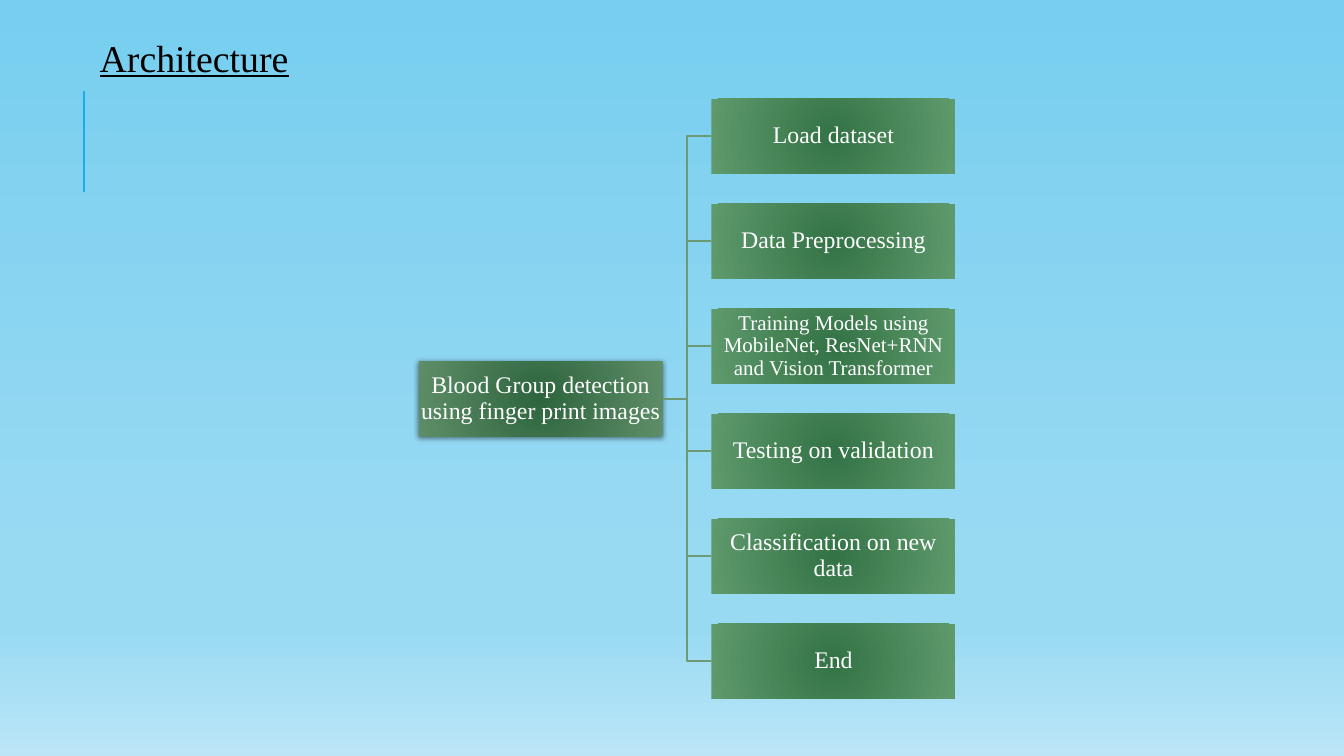
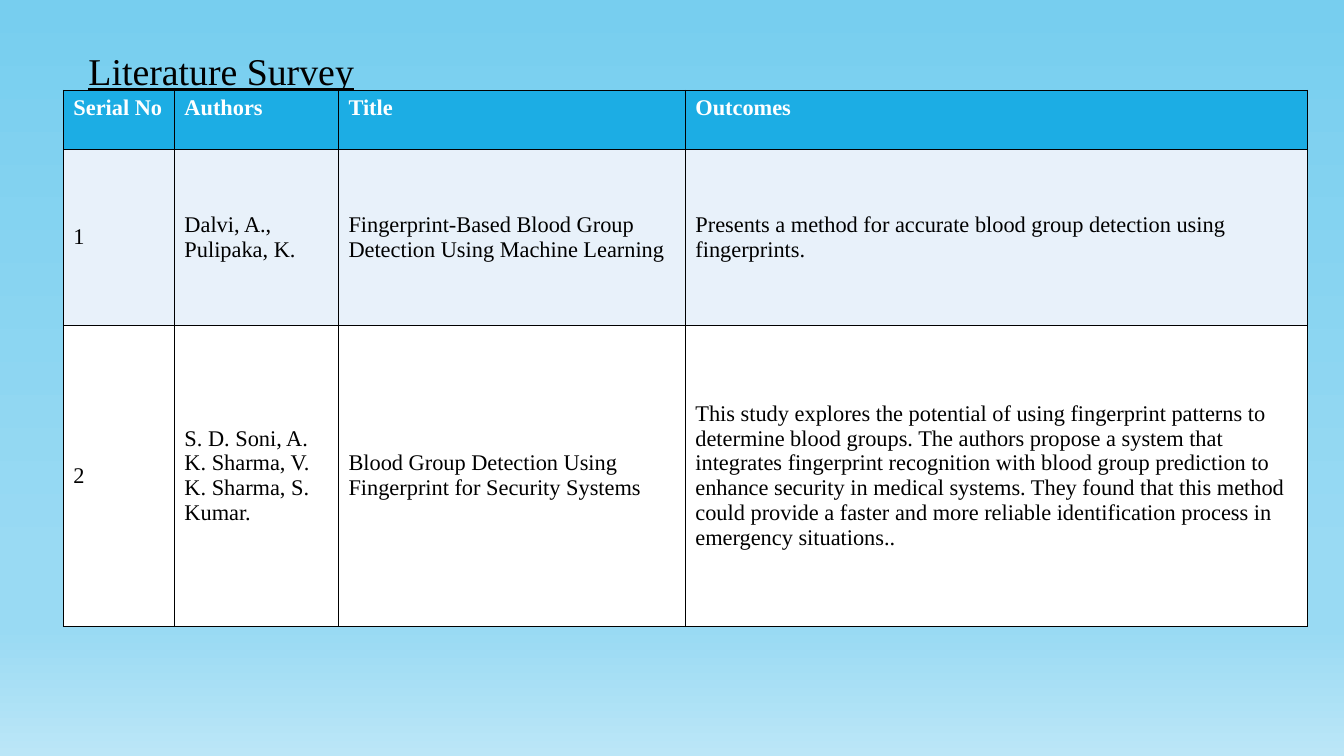
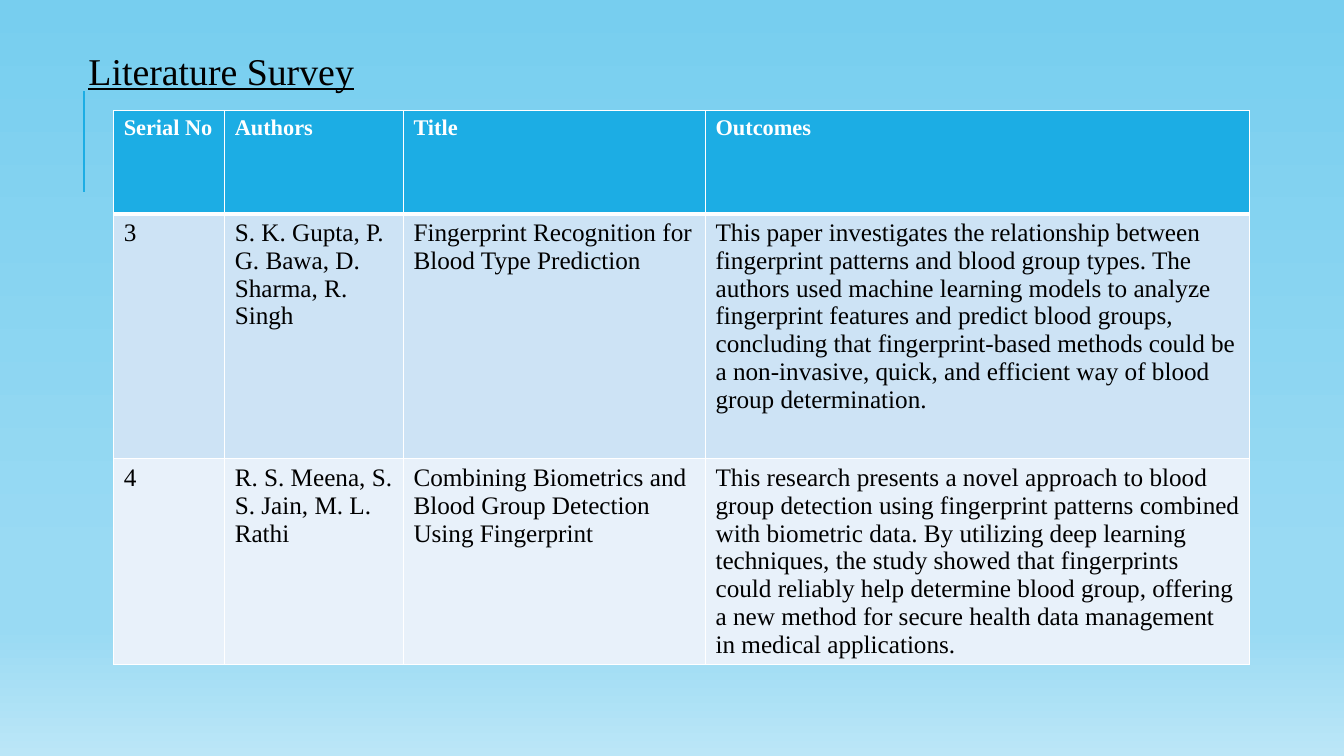
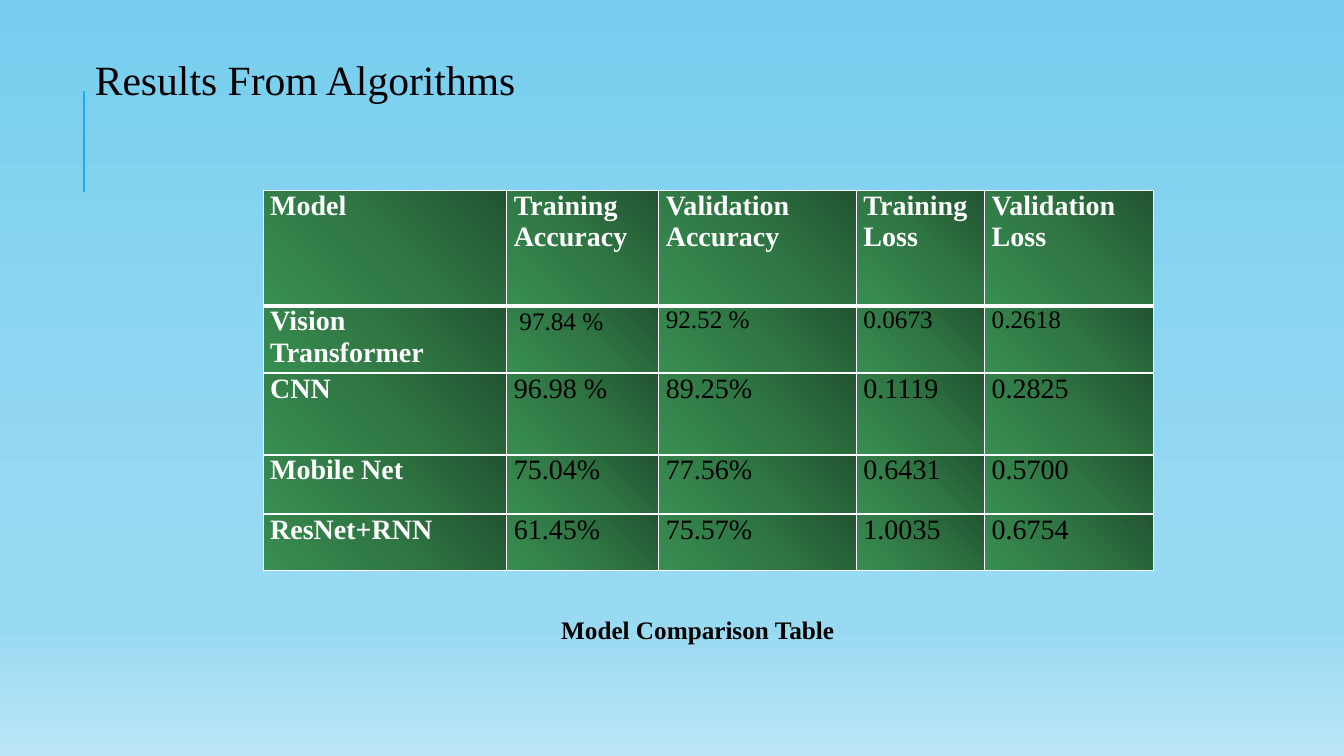
import pptx
import pptx.util
import pptx.dml.color
import pptx.enum.shapes
import pptx.enum.text
import pptx.oxml
import pptx.oxml.ns

Pt = pptx.util.Pt
RGBColor = pptx.dml.color.RGBColor
ANCHOR = pptx.enum.text.MSO_ANCHOR
ALIGN = pptx.enum.text.PP_ALIGN
CONNECTOR = pptx.enum.shapes.MSO_CONNECTOR
qn = pptx.oxml.ns.qn

FONT = "Times New Roman"
BLACK = RGBColor(0x00, 0x00, 0x00)
WHITE = RGBColor(0xFF, 0xFF, 0xFF)
ACCENT = RGBColor(0x1C, 0xAD, 0xE4)
BAND_DARK = RGBColor(0xCD, 0xE3, 0xF5)
BAND_LIGHT = RGBColor(0xE8, 0xF1, 0xFA)
BRANCH = RGBColor(0x6B, 0x9A, 0x75)
SKY = [
    (0, RGBColor(0x77, 0xCE, 0xEF)),
    (74, RGBColor(0x99, 0xDA, 0xF3)),
    (83, RGBColor(0x99, 0xDA, 0xF3)),
    (100, RGBColor(0xBB, 0xE6, 0xF7)),
]
ROOT_GREEN = [(0, RGBColor(0x2E, 0x65, 0x3E)), (100, RGBColor(0x5E, 0x8E, 0x68))]
STEP_GREEN = [(0, RGBColor(0x34, 0x73, 0x46)), (100, RGBColor(0x5E, 0x9A, 0x6C))]
CELL_GREEN = [
    (0, RGBColor(0x21, 0x54, 0x30)),
    (50, RGBColor(0x30, 0x77, 0x44)),
    (100, RGBColor(0x38, 0x8E, 0x51)),
]
SURVEY_HEADER = ["Serial No", "Authors", "Title", "Outcomes"]


def parse_drawing(tag, content, attributes=""):
    namespace = pptx.oxml.ns.nsdecls("a")
    return pptx.oxml.parse_xml(f"<a:{tag} {namespace} {attributes}>{content}</a:{tag}>")


def apply_gradient(fill, owner, stops, angle=None):
    fill.gradient()
    gradient = owner.find(".//" + qn("a:gradFill"))
    for child in list(gradient):
        gradient.remove(child)
    gradient.append(parse_drawing("gsLst", "".join(
        f'<a:gs pos="{position * 1000}"><a:srgbClr val="{color}"/></a:gs>'
        for position, color in stops)))
    if angle is None:
        center = '<a:fillToRect l="50000" t="50000" r="50000" b="50000"/>'
        gradient.append(parse_drawing("path", center, 'path="circle"'))
    else:
        gradient.append(parse_drawing("lin", "", f'ang="{angle * 60000}" scaled="0"'))


def format_paragraph(paragraph, size, color, bold=False):
    font = paragraph.font
    font.name = FONT
    font.size = Pt(size)
    font.bold = bold
    font.color.rgb = color


def add_line(slide, kind, color, width, start=(0, 0), end=(0, 0)):
    line = slide.shapes.add_connector(kind, *[Pt(value) for value in (*start, *end)])
    line.line.color.rgb = color
    line.line.width = Pt(width)
    line.element.spPr.append(parse_drawing("effectLst", ""))
    return line


def prepare_layout(layout):
    apply_gradient(layout.background.fill, layout.element, SKY, 90)
    for placeholder in list(layout.placeholders):
        if placeholder.placeholder_format.idx != 0:
            layout.shapes.element.remove(placeholder.element)


def add_title_slide(presentation, title, left, top, size=27, underline=True):
    slide = presentation.slides.add_slide(presentation.slide_layouts[5])
    shape = slide.shapes.title
    shape.left, shape.top, shape.width, shape.height = Pt(left), Pt(top), Pt(765), Pt(60.5)
    frame = shape.text_frame
    frame.text = title
    frame.word_wrap = True
    frame.vertical_anchor = ANCHOR.MIDDLE
    frame.margin_bottom = Pt(10)
    paragraph = frame.paragraphs[0]
    paragraph.alignment = ALIGN.LEFT
    format_paragraph(paragraph, size, BLACK)
    paragraph.font.underline = underline
    return slide


def add_box(slide, left, top, width, height, text, size, stops):
    box = slide.shapes.add_shape(
        pptx.enum.shapes.MSO_SHAPE.RECTANGLE, Pt(left), Pt(top), Pt(width), Pt(height))
    box.shadow.inherit = False
    box.line.fill.background()
    apply_gradient(box.fill, box.element, stops)
    frame = box.text_frame
    frame.text = text
    frame.word_wrap = True
    frame.vertical_anchor = ANCHOR.MIDDLE
    frame.margin_left = frame.margin_right = frame.margin_top = frame.margin_bottom = Pt(1)
    paragraph = frame.paragraphs[0]
    paragraph.alignment = ALIGN.CENTER
    paragraph.line_spacing = 0.9
    format_paragraph(paragraph, size, WHITE)
    return box


def add_tree(slide, left, top, width, height, root_text, steps):
    box_width, box_height = 174.3, 53.5
    pitch = (height - box_height) / (len(steps) - 1)
    root = add_box(slide, left, top + (height - box_height) / 2,
                   box_width, box_height, root_text, 17, ROOT_GREEN)
    root.element.spPr.find(qn("a:effectLst")).append(parse_drawing(
        "outerShdw",
        '<a:srgbClr val="000000"><a:alpha val="50000"/></a:srgbClr>',
        f'blurRad="{Pt(4)}" dist="{Pt(1)}" dir="5400000" rotWithShape="0"'))
    for index, (text, size) in enumerate(steps):
        step = add_box(slide, left + width - box_width, top + index * pitch,
                       box_width, box_height, text, size, STEP_GREEN)
        branch = add_line(slide, CONNECTOR.ELBOW, BRANCH, 1.25)
        branch.begin_connect(root, 3)
        branch.end_connect(step, 1)


def set_borders(cell_element, color, top, bottom):
    properties = cell_element.get_or_add_tcPr()
    widths = {"lnL": 1, "lnR": 1, "lnT": top, "lnB": bottom}
    for index, (side, width) in enumerate(widths.items()):
        fill = f'<a:solidFill><a:srgbClr val="{color}"/></a:solidFill>'
        properties.insert(index, parse_drawing(side, fill, f'w="{Pt(width)}"'))


def add_grid(slide, left, top, widths, heights, rows, border, header_rule):
    frame = slide.shapes.add_table(
        len(rows), len(widths), Pt(left), Pt(top), Pt(sum(widths)), Pt(sum(heights)))
    table = frame.table
    table.horz_banding = False
    for column, width in zip(table.columns, widths):
        column.width = Pt(width)
    for row, height in zip(table.rows, heights):
        row.height = Pt(height)
    elements = list(frame.element.iter(qn("a:tc")))
    for index, (cell, element) in enumerate(zip(table.iter_cells(), elements)):
        row, column = divmod(index, len(widths))
        cell.text = rows[row][column]
        set_borders(element, border, header_rule if row == 1 else 1,
                    header_rule if row == 0 else 1)
    return table, elements


def add_survey_table(slide, left, top, widths, heights, rows, border, header_rule,
                     bands, size, anchor):
    table, _ = add_grid(slide, left, top, widths, heights, [SURVEY_HEADER, *rows],
                        border, header_rule)
    for index, cell in enumerate(table.iter_cells()):
        row = index // len(widths)
        header = row == 0
        cell.fill.solid()
        cell.fill.fore_color.rgb = ACCENT if header else bands[row - 1]
        cell.vertical_anchor = ANCHOR.TOP if header else anchor
        format_paragraph(cell.text_frame.paragraphs[0], 16 if header else size,
                         WHITE if header else BLACK, header)


def add_results_table(slide, left, top, widths, heights, rows):
    table, elements = add_grid(slide, left, top, widths, heights, rows, WHITE, 3)
    for index, (cell, element) in enumerate(zip(table.iter_cells(), elements)):
        row, column = divmod(index, len(widths))
        heading = row == 0 or column == 0
        apply_gradient(cell.fill, element, CELL_GREEN, 135)
        cell.margin_left = cell.margin_right = Pt(5)
        cell.margin_top = cell.margin_bottom = 0
        for paragraph in cell.text_frame.paragraphs:
            format_paragraph(paragraph, 18 if row == 1 and not heading else 20,
                             WHITE if heading else BLACK, heading)
    return table


def add_caption(slide, left, top, width, height, text):
    caption = slide.shapes.add_textbox(Pt(left), Pt(top), Pt(width), Pt(height))
    caption.text_frame.word_wrap = True
    caption.text_frame.text = text
    format_paragraph(caption.text_frame.paragraphs[0], 18, BLACK, True)


def build_architecture(presentation):
    slide = add_title_slide(presentation, "Architecture", 64, 13.7)
    accent = add_line(slide, CONNECTOR.STRAIGHT, ACCENT, 1.5, (60, 137), (60, 65))
    slide.slide_layout.shapes.element.append(accent.element)
    add_tree(slide, 299, 70.5, 383.5, 428.5,
             "Blood Group detection using finger print images", [
                 ("Load dataset", 17),
                 ("Data Preprocessing", 17),
                 ("Training Models using MobileNet, ResNet+RNN and Vision Transformer", 15),
                 ("Testing on validation", 17),
                 ("Classification on new data", 17),
                 ("End", 17),
             ])


def build_first_survey(presentation):
    slide = add_title_slide(presentation, "Literature Survey", 56, 23)
    rows = [
        ["1", "Dalvi, A., Pulipaka, K.",
         "Fingerprint-Based Blood Group Detection Using Machine Learning",
         "Presents a method for accurate blood group detection using fingerprints."],
        ["2", "S. D. Soni, A. K. Sharma, V. K. Sharma, S. Kumar.",
         "Blood Group Detection Using Fingerprint for Security Systems",
         "This study explores the potential of using fingerprint patterns to determine "
         "blood groups. The authors propose a system that integrates fingerprint "
         "recognition with blood group prediction to enhance security in medical "
         "systems. They found that this method could provide a faster and more reliable "
         "identification process in emergency situations.."],
    ]
    add_survey_table(slide, 45.3, 64.6, [79.3, 117.2, 247.8, 444.2], [42.2, 125.6, 215],
                     rows, BLACK, 1, [BAND_LIGHT, WHITE], 16, ANCHOR.MIDDLE)


def build_second_survey(presentation):
    slide = add_title_slide(presentation, "Literature Survey", 56, 23)
    rows = [
        ["3", "S. K. Gupta, P. G. Bawa, D. Sharma, R. Singh",
         "Fingerprint Recognition for Blood Type Prediction",
         "This paper investigates the relationship between fingerprint patterns and blood "
         "group types. The authors used machine learning models to analyze fingerprint "
         "features and predict blood groups, concluding that fingerprint-based methods "
         "could be a non-invasive, quick, and efficient way of blood group determination."],
        ["4", "R. S. Meena, S. S. Jain, M. L. Rathi",
         "Combining Biometrics and Blood Group Detection Using Fingerprint",
         "This research presents a novel approach to blood group detection using "
         "fingerprint patterns combined with biometric data. By utilizing deep learning "
         "techniques, the study showed that fingerprints could reliably help determine "
         "blood group, offering a new method for secure health data management in medical "
         "applications."],
    ]
    add_survey_table(slide, 81.2, 79.2, [79.3, 127.7, 215.8, 388.8], [73.5, 175, 146.5],
                     rows, WHITE, 3, [BAND_DARK, BAND_LIGHT], 18, ANCHOR.TOP)


def build_results(presentation):
    slide = add_title_slide(presentation, "Results From Algorithms", 60.5, 29, 29.7, False)
    rows = [
        ["Model", "Training Accuracy", "Validation\nAccuracy", "Training Loss",
         "Validation Loss"],
        ["Vision Transformer", " ", "92.52 %", "0.0673", "0.2618"],
        ["CNN", "96.98 %", "89.25%", "0.1119", "0.2825"],
        ["Mobile Net", "75.04%", "77.56%", "0.6431", "0.5700"],
        ["ResNet+RNN", "61.45%", "75.57%", "1.0035", "0.6754"],
    ]
    table = add_results_table(slide, 188, 136, [174, 108.6, 141.2, 91.6, 120.6],
                              [82.5, 48, 58.5, 42.2, 40.3], rows)
    accuracy = table.cell(1, 1).text_frame.paragraphs[0]
    accuracy.runs[0].font.name = "Cabin"
    accuracy.add_run().text = "97.84 %"
    add_caption(slide, 393.8, 435.6, 453.6, 28.8, "Model Comparison Table")


def main():
    presentation = pptx.Presentation()
    presentation.slide_width = Pt(960)
    presentation.slide_height = Pt(540)
    prepare_layout(presentation.slide_layouts[5])
    build_architecture(presentation)
    build_first_survey(presentation)
    build_second_survey(presentation)
    build_results(presentation)
    presentation.save("out.pptx")


if __name__ == "__main__":
    main()
